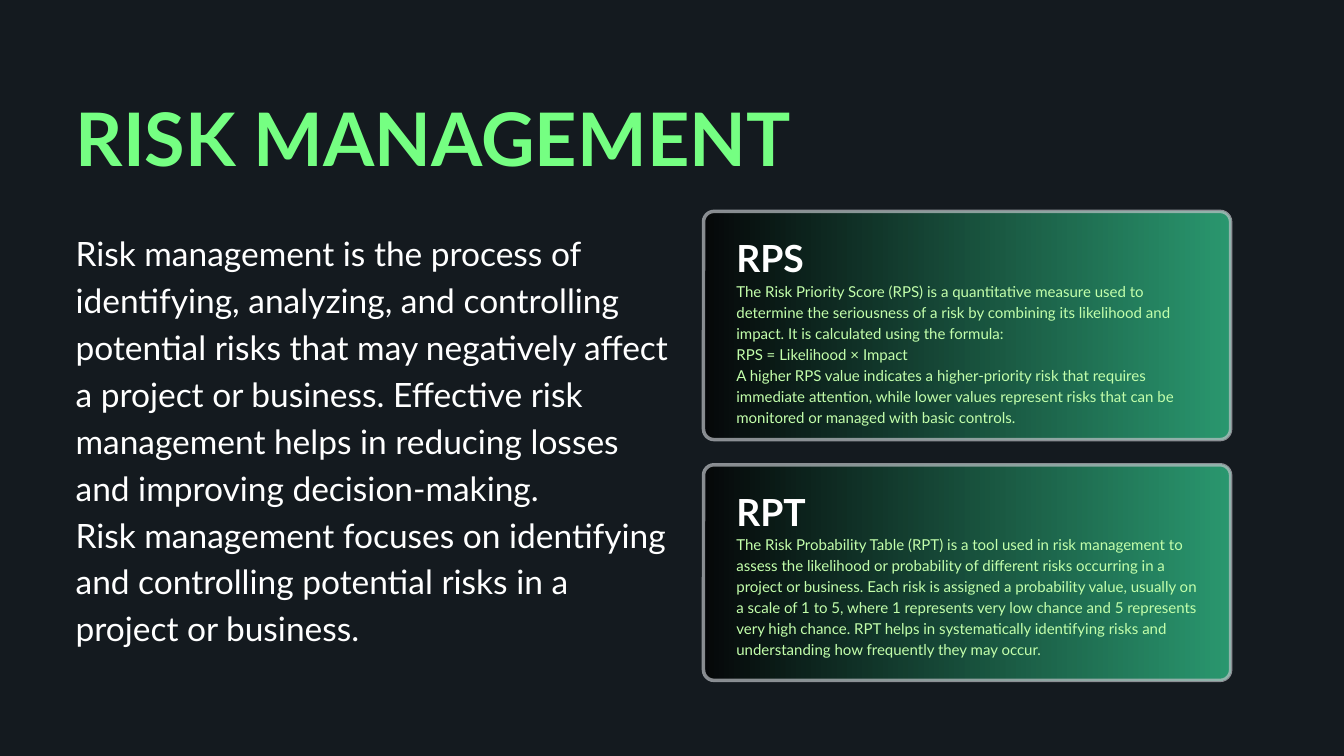
"""Build the risk management slide with its RPS and RPT cards."""
from dataclasses import dataclass

from lxml.etree import SubElement
from pptx import Presentation
from pptx.dml.color import RGBColor as Rgb
from pptx.enum.shapes import MSO_SHAPE as Preset
from pptx.enum.text import MSO_ANCHOR as Anchor
from pptx.enum.text import MSO_AUTO_SIZE as AutoSize
from pptx.enum.text import PP_ALIGN as Align
from pptx.oxml.ns import qn
from pptx.util import Pt

PX = 9525


@dataclass(frozen=True)
class TextStyle:
    size: float
    leading: float
    colors: tuple
    bold: bool = False


@dataclass(frozen=True)
class Theme:
    font: str = "Lato"
    background: str = "141A1F"
    card_fill: tuple = ("000000", "33CD91")
    card_border: str = "BEC2C7"
    border_width: float = 3.75
    card_opacity: int = 70
    card_radius: int = 15
    title: TextStyle = TextStyle(79.1, 110.7, ("75FF82",), True)
    summary: TextStyle = TextStyle(35.9, 50.2, ("FFFFFF",))
    heading: TextStyle = TextStyle(40, 56, ("FFFFFF", "37CC73"), True)
    detail: TextStyle = TextStyle(16.1, 22.5, ("C3FFAB",))


def px(*lengths):
    return [length * PX for length in lengths]


class SlideBuilder:
    def __init__(self, slide, theme):
        self.slide = slide
        self.theme = theme
        slide.background.fill.solid()
        slide.background.fill.fore_color.rgb = Rgb.from_string(theme.background)

    def paint(self, fill, colors):
        if len(colors) == 1:
            fill.solid()
            fill.fore_color.rgb = Rgb.from_string(colors[0])
            return
        fill.gradient()
        fill.gradient_angle = 0
        for stop, color in zip(fill.gradient_stops, colors):
            stop.color.rgb = Rgb.from_string(color)

    def fill_frame(self, frame, paragraphs, style):
        frame.margin_left = frame.margin_top = 0
        frame.margin_right = frame.margin_bottom = 0
        frame.word_wrap = True
        frame.auto_size = AutoSize.SHAPE_TO_FIT_TEXT
        frame.vertical_anchor = Anchor.TOP
        for index, wording in enumerate(paragraphs):
            paragraph = frame.add_paragraph() if index else frame.paragraphs[0]
            paragraph.alignment = Align.LEFT
            paragraph.line_spacing = Pt(style.leading)
            run = paragraph.add_run()
            run.text = wording
            run.font.name = self.theme.font
            run.font.size = Pt(style.size)
            run.font.bold = style.bold
            self.paint(run.font.fill, style.colors)

    def title(self, box, wording):
        heading = self.slide.shapes.title
        heading.left, heading.top, heading.width, heading.height = px(*box)
        self.fill_frame(heading.text_frame, [wording], self.theme.title)

    def text(self, box, paragraphs, style, shapes=None):
        label = (shapes or self.slide.shapes).add_textbox(*px(*box))
        self.fill_frame(label.text_frame, paragraphs, style)

    def panel(self, box, shapes):
        theme = self.theme
        panel = shapes.add_shape(Preset.ROUNDED_RECTANGLE, *px(*box))
        panel.adjustments[0] = theme.card_radius / min(box[2:])
        panel.shadow.inherit = False
        self.paint(panel.fill, theme.card_fill)
        self.paint(panel.line.fill, (theme.card_border,))
        panel.line.width = Pt(theme.border_width)
        for color in panel._element.spPr.iter(qn("a:srgbClr")):
            SubElement(color, qn("a:alpha"), val=str(theme.card_opacity * 1000))

    def card(self, top, height, detail_height, heading, details):
        shapes = self.slide.shapes.add_group_shape().shapes
        self.panel((1005, top, 753, height), shapes)
        self.text((1052, top + 97, 659, detail_height), details, self.theme.detail, shapes)
        self.text((1052, top + 24, 481, 70), [heading], self.theme.heading, shapes)


SUMMARY = [
    "Risk management is the process of identifying, analyzing, and controlling "
    "potential risks that may negatively affect a project or business. Effective "
    "risk management helps in reducing losses and improving decision-making.",
    "Risk management focuses on identifying and controlling potential risks in a "
    "project or business.",
]
RPS = [
    "The Risk Priority Score (RPS) is a quantitative measure used to determine the "
    "seriousness of a risk by combining its likelihood and impact. It is calculated "
    "using the formula:",
    "RPS = Likelihood × Impact",
    "A higher RPS value indicates a higher-priority risk that requires immediate "
    "attention, while lower values represent risks that can be monitored or managed "
    "with basic controls.",
]
RPT = [
    "The Risk Probability Table (RPT) is a tool used in risk management to assess "
    "the likelihood or probability of different risks occurring in a project or "
    "business. Each risk is assigned a probability value, usually on a scale of 1 to "
    "5, where 1 represents very low chance and 5 represents very high chance. RPT "
    "helps in systematically identifying risks and understanding how frequently they "
    "may occur.",
]


def main():
    deck = Presentation()
    deck.slide_width, deck.slide_height = px(1920, 1080)
    theme = Theme()
    builder = SlideBuilder(deck.slides.add_slide(deck.slide_layouts[5]), theme)
    builder.title((108, 112, 1223, 140), "RISK MANAGEMENT")
    builder.text((108, 324, 852, 601), SUMMARY, theme.summary)
    builder.card(302, 326, 229, "RPS", RPS)
    builder.card(664, 308, 171, "RPT", RPT)
    deck.save("out.pptx")


if __name__ == "__main__":
    main()
